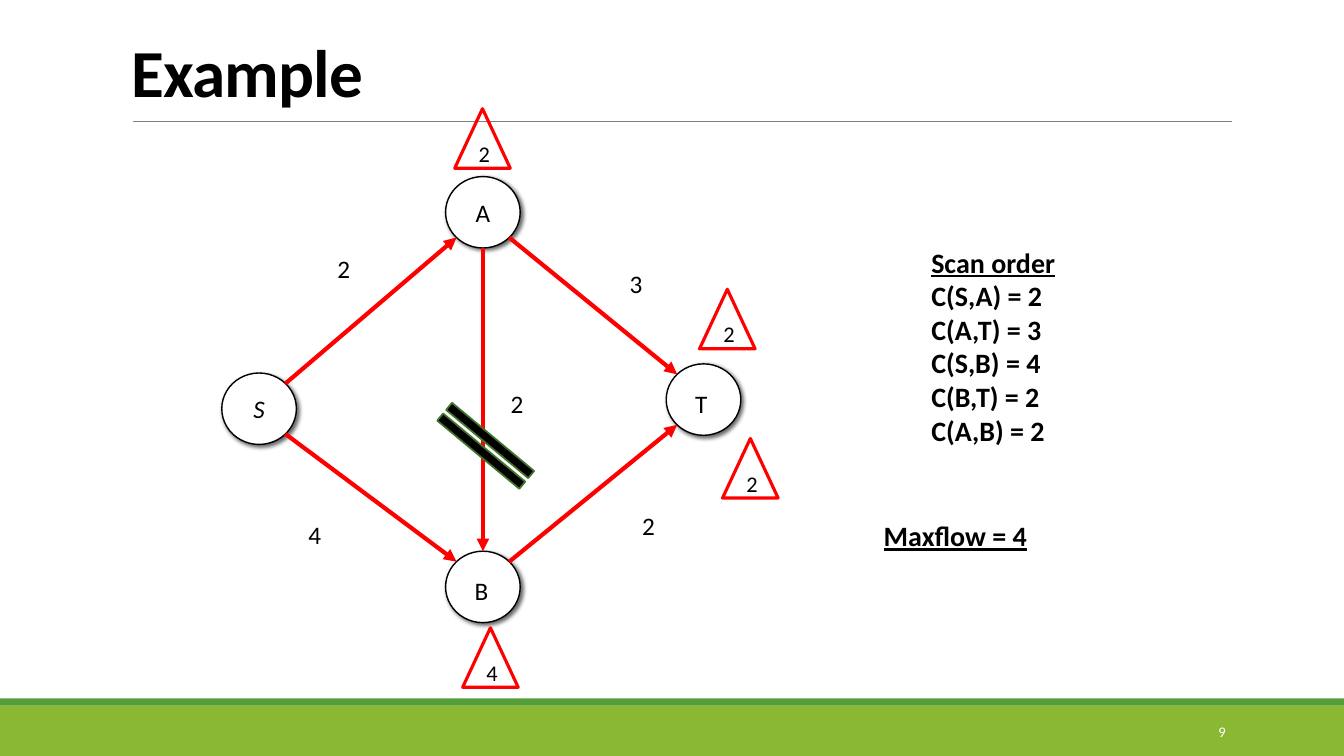
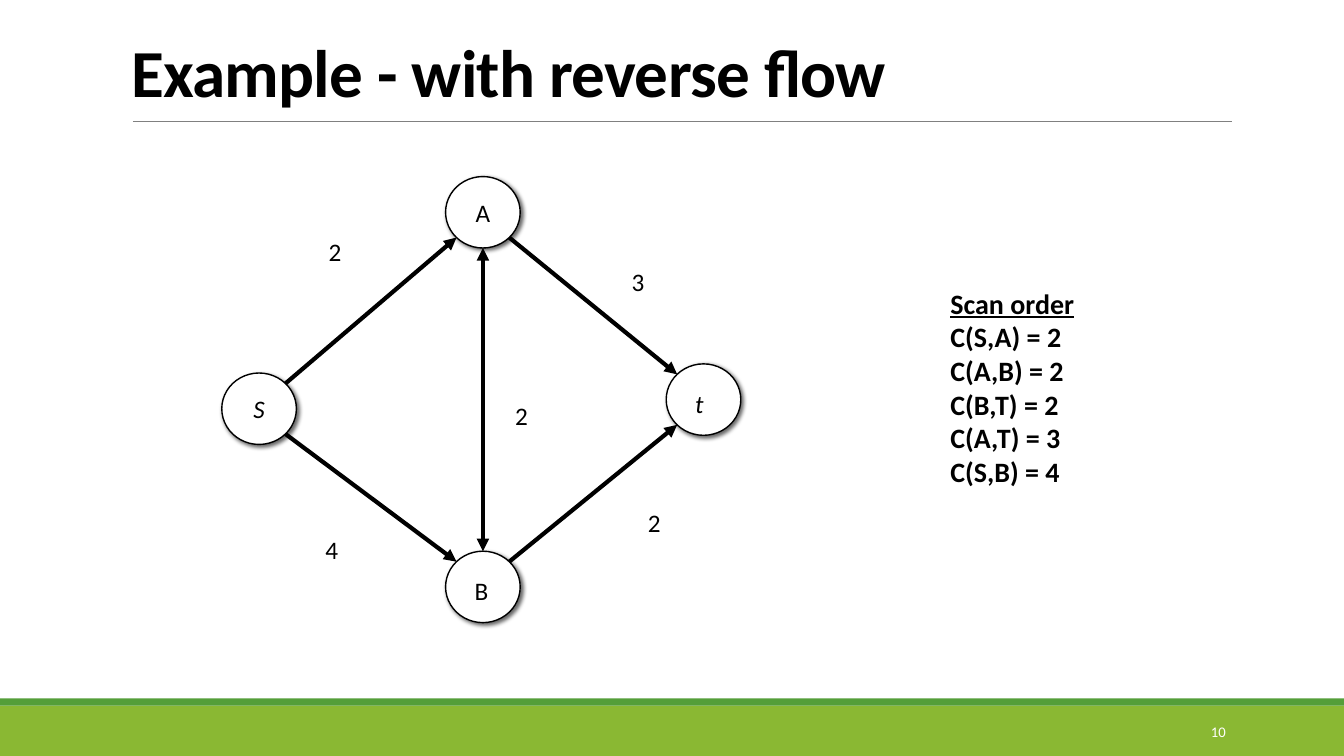
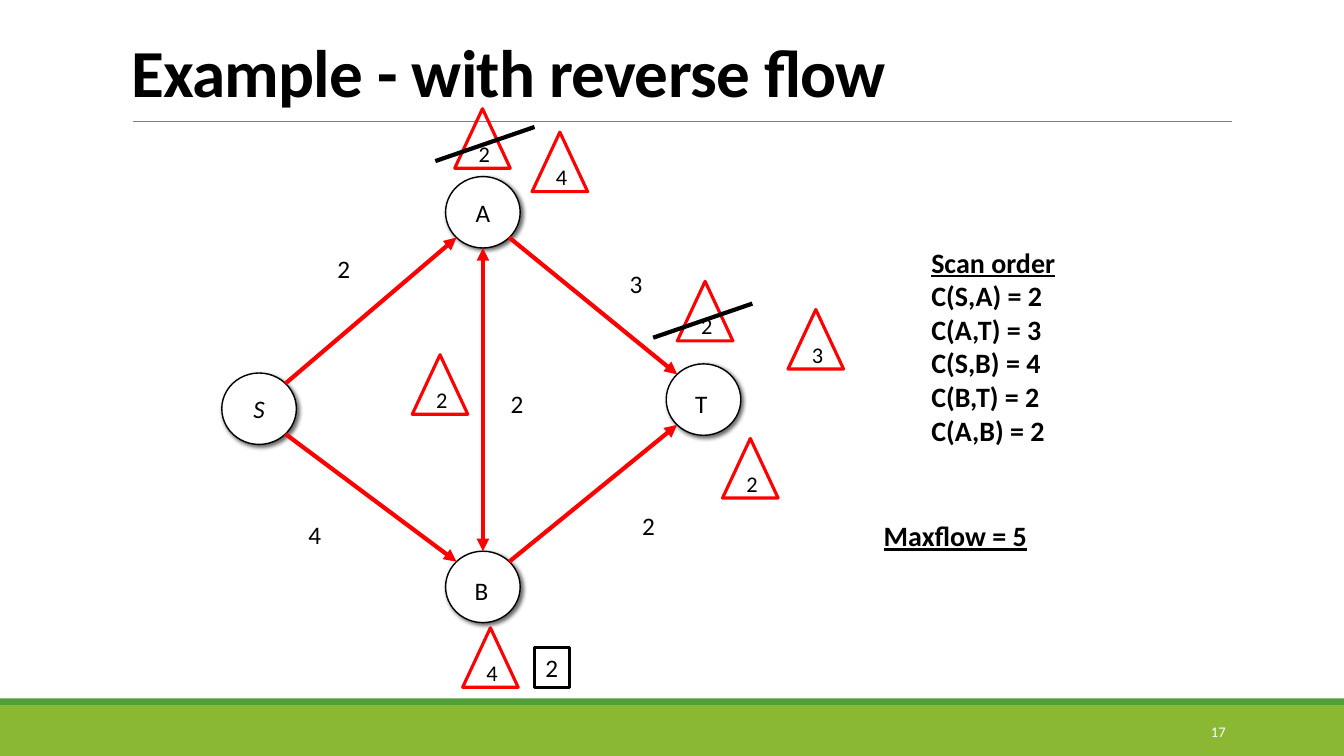
import math

import pptx
import pptx.dml.color
import pptx.enum.shapes
import pptx.enum.text
import pptx.oxml.ns
import pptx.util
from lxml import etree

Cm = pptx.util.Cm
Pt = pptx.util.Pt
RGBColor = pptx.dml.color.RGBColor
KIND = pptx.enum.shapes.MSO_SHAPE
ALIGN = pptx.enum.text.PP_ALIGN
ANCHOR = pptx.enum.text.MSO_ANCHOR
qn = pptx.oxml.ns.qn

BLACK = RGBColor(0x00, 0x00, 0x00)
WHITE = RGBColor(0xFF, 0xFF, 0xFF)
RED = RGBColor(0xFF, 0x00, 0x00)
GRAY = RGBColor(0x80, 0x80, 0x80)
LIME = RGBColor(0x8A, 0xB8, 0x33)
GREEN = RGBColor(0x54, 0x9E, 0x39)
MOSS = RGBColor(0x3E, 0x75, 0x2A)

FONT = "Calibri"
WIDE, HIGH = 33.87, 19.05
NODE_W, NODE_H = 1.88, 1.8
NODES = {"S": (6.53, 10.3), "T": (17.73, 10.07),
         "B": (12.17, 14.79), "A": (12.17, 5.35)}
EDGES = ("SB", "AB", "SA", "AT", "BT")

# Top left corner of each edge cost
COSTS = {"SA": "2", "SB": "4", "BT": "2", "AB": "2", "AT": "3"}
FLOW_SPOTS = {"SA": (8.25, 6.25), "SB": (7.52, 12.95), "BT": (15.93, 12.73),
              "AB": (12.62, 9.65), "AT": (15.62, 6.63)}
START_SPOTS = {"SA": (8.03, 5.82), "SB": (7.95, 13.34), "BT": (16.08, 12.67),
               "AB": (12.73, 9.96), "AT": (15.67, 6.58)}
FLOW_SCAN = ("SA", "AT", "SB", "BT", "AB")
START_SCAN = ("SA", "AB", "BT", "AT", "SB")


def write(shape, lines, size=18, color=BLACK, bold=False, slant=False, under=0,
          align=ALIGN.LEFT, anchor=ANCHOR.TOP, wrap=True, space=None, track=None):
    """Fill a shape with lines of text; the first `under` are underlined."""
    frame = shape.text_frame
    frame.word_wrap = wrap
    frame.auto_size = pptx.enum.text.MSO_AUTO_SIZE.NONE
    frame.vertical_anchor = anchor
    frame.text = "\n".join(lines)
    for row, para in enumerate(frame.paragraphs):
        para.alignment = align
        if space:
            para.line_spacing = space
        for run in para.runs:
            font = run.font
            font.name, font.size = FONT, Pt(size)
            font.bold, font.italic, font.underline = bold, slant, row < under
            font.color.rgb = color
            if track:
                font._element.set("spc", str(track))


def text(slide, lines, x, y, w, h, **form):
    """Add a text box and write in it."""
    box = slide.shapes.add_textbox(Cm(x), Cm(y), Cm(w), Cm(h))
    write(box, lines, **form)


def block(slide, kind, x, y, w, h, fill=None, line=None, width=1):
    """Add a flat preset shape."""
    shape = slide.shapes.add_shape(kind, Cm(x), Cm(y), Cm(w), Cm(h))
    shape.shadow.inherit = False
    if fill is None:
        shape.fill.background()
    else:
        shape.fill.solid()
        shape.fill.fore_color.rgb = fill
    if line is None:
        shape.line.fill.background()
    else:
        shape.line.color.rgb = line
        shape.line.width = Pt(width)
    return shape


def stroke(slide, start, end, color=BLACK, width=3, tips=()):
    """Draw a straight line with an arrowhead at each end named in tips."""
    kind = pptx.enum.shapes.MSO_CONNECTOR.STRAIGHT
    line = slide.shapes.add_connector(kind, *(Cm(n) for n in (*start, *end)))
    line.line.color.rgb = color
    line.line.width = Pt(width)
    props = line.element.spPr
    for tip in tips:
        etree.SubElement(props.find(qn("a:ln")), qn("a:" + tip), type="triangle")
    etree.SubElement(props, qn("a:effectLst"))
    return line


def node(slide, x, y):
    """Draw a round graph node with a soft shadow, centred on a point."""
    shape = block(slide, KIND.OVAL, x - NODE_W / 2, y - NODE_H / 2,
                  NODE_W, NODE_H, WHITE, BLACK)
    glow = etree.SubElement(
        shape.element.spPr.find(qn("a:effectLst")), qn("a:outerShdw"),
        blurRad=str(Pt(3)), dist=str(Pt(2)), dir="2700000",
        algn="tl", rotWithShape="0")
    tint = etree.SubElement(glow, qn("a:srgbClr"), val=str(BLACK))
    etree.SubElement(tint, qn("a:alpha"), val="60000")
    return shape


def edge(slide, first, last, color, tips):
    """Draw an arrow between the facing rims of two nodes."""
    begin, end = NODES[first], NODES[last]
    way = [(b > a) - (b < a) for a, b in zip(begin, end)]
    scale = math.hypot(*way)
    step = [way[0] * NODE_W / 2 / scale, way[1] * NODE_H / 2 / scale]
    stroke(slide, [a + d for a, d in zip(begin, step)],
           [b - d for b, d in zip(end, step)], color, tips=tips)


def graph(slide, spots, color, sink="T", both=False):
    """Draw the nodes, costs and edges; both gives A-B two arrowheads."""
    ovals = {name: node(slide, *spot) for name, spot in NODES.items()}
    for name in "SA":
        write(ovals[name], [name], slant=name == "S", align=ALIGN.CENTER,
              anchor=ANCHOR.MIDDLE)
    text(slide, ["B"], 11.71, 14.38, 0.86, 1.02, wrap=False)
    text(slide, [sink], 17.27, 9.65, 1.32, 1.02, slant=sink == "t")
    for name, spot in spots.items():
        text(slide, [COSTS[name]], *spot, 0.84, 1.02, wrap=False)
    for name in EDGES:
        tips = ("headEnd", "tailEnd") if both and name == "AB" else ("tailEnd",)
        edge(slide, *name, color, tips)


def flag(slide, value, x, y):
    """Draw a red triangle that holds a flow value."""
    shape = block(slide, KIND.ISOSCELES_TRIANGLE, x, y, 1.4, 1.5,
                  line=RED, width=2.25)
    write(shape, [value], size=16, align=ALIGN.CENTER, anchor=ANCHOR.MIDDLE)


def scan(slide, order, x, y, w):
    """List the edge costs in scan order."""
    rows = [f"C({a},{b}) = {COSTS[a + b]}" for a, b in order]
    text(slide, ["Scan order", *rows], x, y, w, 6.25,
         size=20, bold=True, under=1)


def total(slide, value):
    """State the maximum flow."""
    text(slide, [f"Maxflow = {value}"], 22.02, 12.95, 7.77, 1.12,
         size=20, bold=True, under=1)


def theme(layout, slide):
    """Build the bands and title rule, then move them to the layout."""
    parts = (
        block(slide, KIND.RECTANGLE, 0, 17.78, WIDE, 1.27, LIME),
        block(slide, KIND.RECTANGLE, 0, 17.6, WIDE, 0.18, GREEN),
        stroke(slide, (3.35, 3.07), (31.04, 3.07), GRAY, 0.5),
    )
    for index, part in enumerate(parts, 100):
        part.element.xpath(".//p:cNvPr")[0].set("id", str(index))
        layout.shapes.element.append(part.element)


def start(deck, title, number):
    """Add a slide with its title and page number."""
    slide = deck.slides.add_slide(deck.slide_layouts[5])
    head = slide.shapes.title
    head.left, head.top = Cm(3.05), Cm(0.86)
    head.width, head.height = Cm(27.94), Cm(2.06)
    write(head, [title], size=48, bold=True, anchor=ANCHOR.BOTTOM,
          space=0.85, track=-50)
    text(slide, [str(number)], 27.51, 17.93, 3.63, 1.02, size=10.5,
         color=WHITE, align=ALIGN.RIGHT, anchor=ANCHOR.MIDDLE)
    return slide


def plain(slide):
    """Show the flow without a reverse edge."""
    graph(slide, FLOW_SPOTS, RED)
    scan(slide, FLOW_SCAN, 23.22, 6.05, 7.77)
    for value, x, y in (("2", 11.46, 2.74), ("2", 17.63, 7.29),
                        ("4", 11.66, 15.82), ("2", 18.21, 11.05)):
        flag(slide, value, x, y)
    bar = block(slide, KIND.MATH_EQUAL, 10.41, 10.74, 3.66, 0.99,
                BLACK, MOSS, 1.25)
    bar.rotation = 39.7
    total(slide, 4)


def setup(slide):
    """Show the graph before any flow is sent."""
    graph(slide, START_SPOTS, BLACK, sink="t", both=True)
    scan(slide, START_SCAN, 23.7, 7.09, 4.98)


def result(slide):
    """Show the flow after the reverse edge is used."""
    graph(slide, FLOW_SPOTS, RED, both=True)
    scan(slide, FLOW_SCAN, 23.22, 6.05, 7.77)
    for value, x, y in (("2", 11.46, 2.74), ("2", 17.07, 7.09),
                        ("4", 11.66, 15.82), ("2", 18.21, 11.05),
                        ("2", 10.39, 8.94), ("3", 19.86, 7.8),
                        ("4", 13.41, 3.33)):
        flag(slide, value, x, y)
    back = block(slide, KIND.RECTANGLE, 13.46, 16.31, 0.89, 1.02,
                 line=BLACK, width=2.25)
    write(back, ["2"], align=ALIGN.CENTER, anchor=ANCHOR.MIDDLE)
    total(slide, 5)
    for x, y in ((16.46, 8.51), (10.97, 4.06)):
        stroke(slide, (x, y), (x + 2.5, y - 0.86))


def main():
    """Build the deck and save it."""
    deck = pptx.Presentation()
    deck.slide_width, deck.slide_height = Cm(WIDE), Cm(HIGH)
    first = start(deck, "Example", 9)
    theme(deck.slide_layouts[5], first)
    plain(first)
    setup(start(deck, "Example - with reverse flow", 10))
    result(start(deck, "Example - with reverse flow", 17))
    deck.save("out.pptx")


main()
